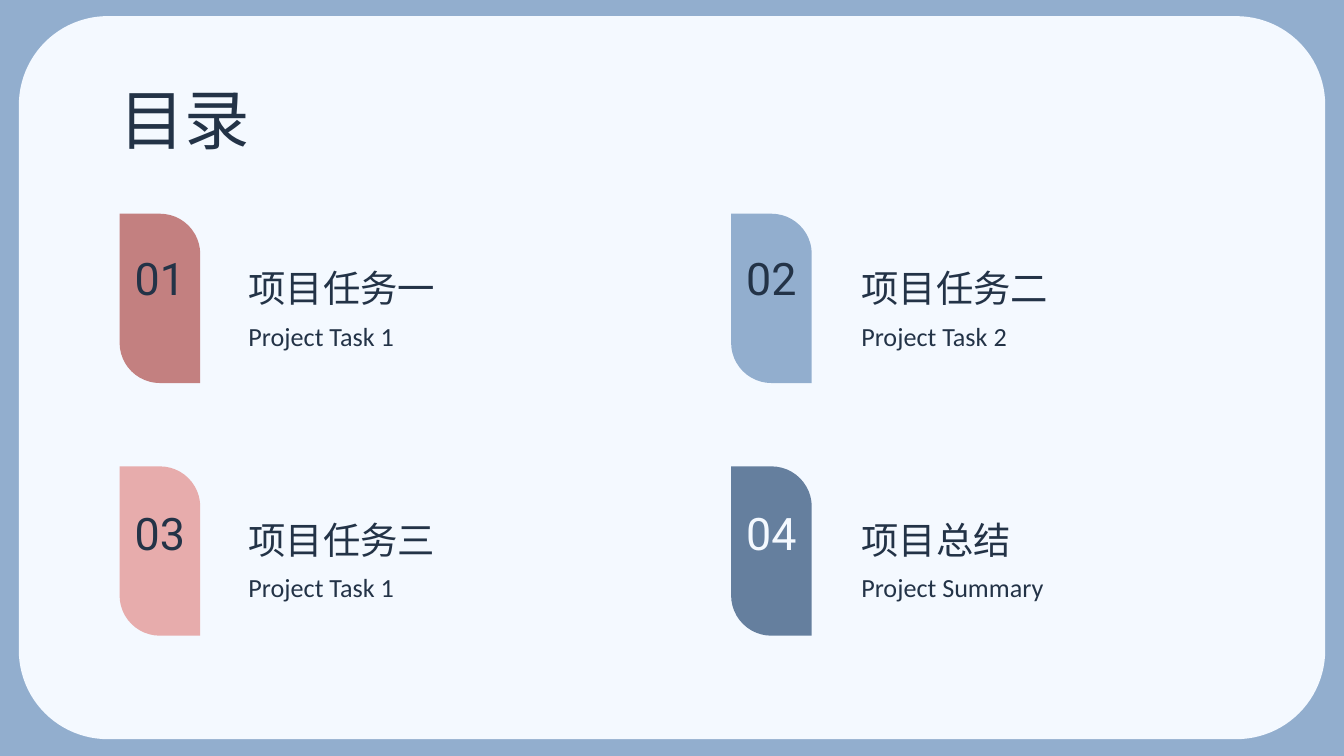
from pptx import Presentation
from pptx.dml.color import RGBColor
from pptx.enum import shapes, text
from pptx.util import Inches, Pt

# Content: number, heading, subtitle, tab colour, number colour
TITLE = "目录"
INK, PALE, BLUE = "233347", "F4F9FF", "92AECE"
TASKS = [
    ("01", "项目任务一", "Project Task 1", "C38080", INK),
    ("02", "项目任务二", "Project Task 2", BLUE, INK),
    ("03", "项目任务三", "Project Task 1", "E7ACAC", INK),
    ("04", "项目总结", "Project Summary", "657F9E", PALE),
]
COLS = 2
TOP, MID, LOW = text.MSO_ANCHOR.TOP, text.MSO_ANCHOR.MIDDLE, text.MSO_ANCHOR.BOTTOM
LEFT, MIDDLE = text.PP_ALIGN.LEFT, text.PP_ALIGN.CENTER


def rgb(code):
    return RGBColor.from_string(code)


def panel(slide, kind, box, color, adjust, turn=0):
    shape = slide.shapes.add_shape(kind, *map(Inches, box))
    shape.shadow.inherit = False
    shape.fill.solid()
    shape.fill.fore_color.rgb = rgb(color)
    shape.line.fill.background()
    shape.rotation = turn
    for i, value in enumerate(adjust):
        shape.adjustments[i] = value


def label(slide, words, box, size, color=INK, face="Roboto",
          anchor=TOP, align=LEFT, space=1.0):
    frame = slide.shapes.add_textbox(*map(Inches, box)).text_frame
    frame.word_wrap = True
    frame.vertical_anchor = anchor
    frame.margin_left = frame.margin_right = Inches(0.1)
    frame.margin_top = frame.margin_bottom = Inches(0.1)
    para = frame.paragraphs[0]
    para.text = words
    para.alignment = align
    para.line_spacing = space
    para.font.size = Pt(size)
    para.font.name = face
    para.font.color.rgb = rgb(color)


def main():
    # Widescreen page, 16 to 9
    deck = Presentation()
    deck.slide_width = Inches(10)
    deck.slide_height = deck.slide_width * 9 // 16
    slide = deck.slides.add_slide(deck.slide_layouts[6])

    # Background, rounded page and title
    slide.background.fill.solid()
    slide.background.fill.fore_color.rgb = rgb(BLUE)
    kinds = shapes.MSO_SHAPE
    panel(slide, kinds.ROUNDED_RECTANGLE, (0.14, 0.12, 9.72, 5.38), PALE, [0.123])
    label(slide, TITLE, (0.79, 0.49, 8.43, 0.63), 35)

    # Task grid: tab, number, heading and subtitle
    for i, (num, head, sub, fill, ink) in enumerate(TASKS):
        row, col = divmod(i, COLS)
        x, y = 4.55 * col, 1.88 * row
        left, drop = 1.75 + 4.56 * col, 1.87 * row
        panel(slide, kinds.ROUND_2_DIAG_RECTANGLE,
              (0.56 + x, 1.92 + y, 1.26, 0.6), fill, [0.5, 0], 270)
        label(slide, num, (0.79 + x, 1.82 + 1.9 * row, 0.8, 0.49), 24, ink,
              anchor=MID, align=MIDDLE)
        label(slide, head, (left, 1.44 + drop, 2.91, 0.97), 20,
              anchor=LOW, space=1.15)
        label(slide, sub, (left, 2.25 + drop, 2.91, 0.63), 14,
              face="Calibri", space=1.15)

    deck.save("out.pptx")


if __name__ == "__main__":
    main()
